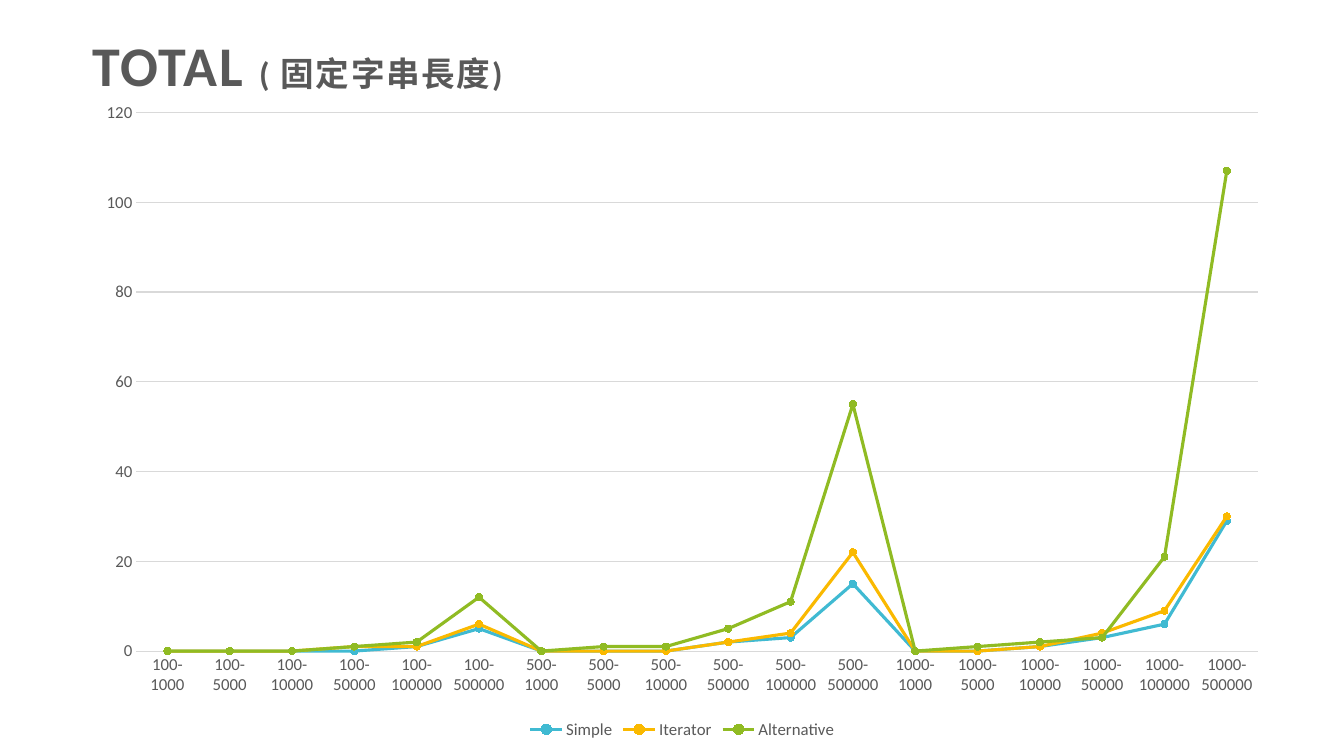
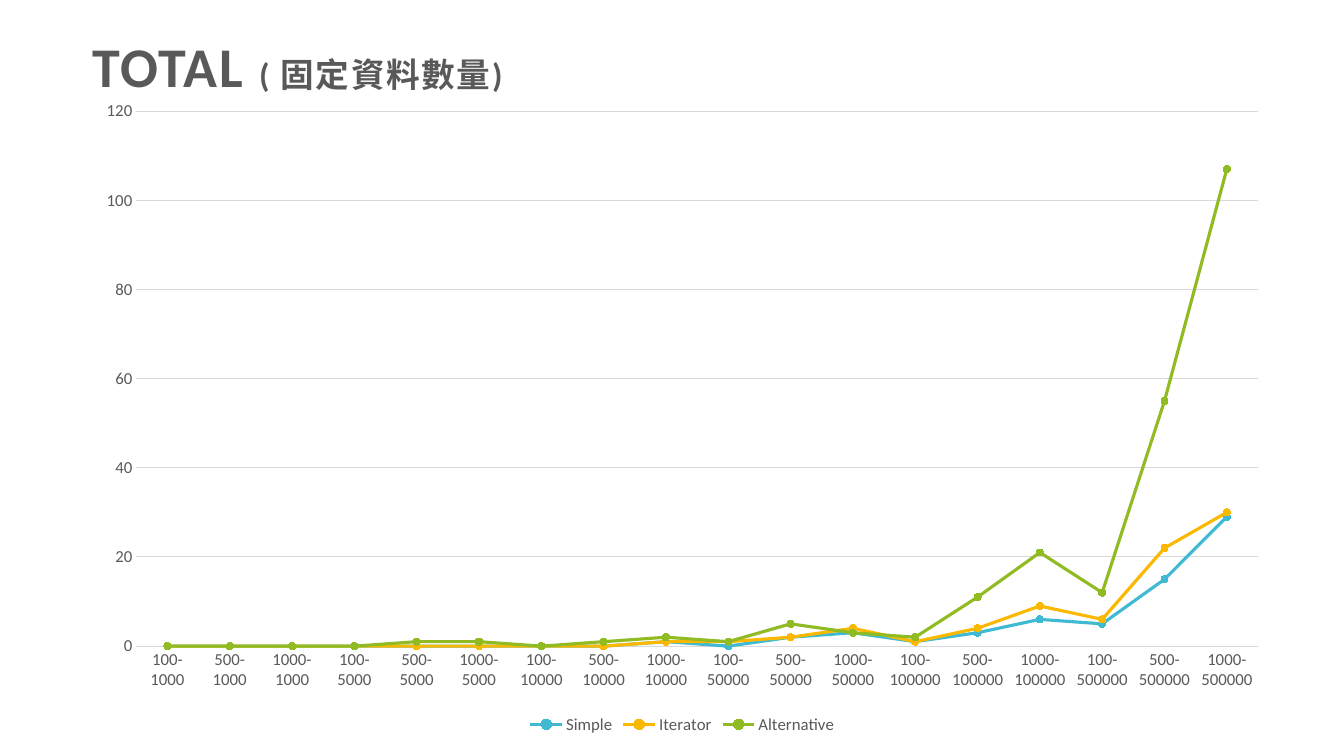
from itertools import product

from pptx import Presentation
from pptx.chart.data import CategoryChartData
from pptx.dml.color import RGBColor
from pptx.enum.chart import (XL_CHART_TYPE, XL_LEGEND_POSITION, XL_MARKER_STYLE,
                             XL_TICK_MARK)
from pptx.enum.text import MSO_ANCHOR, MSO_AUTO_SIZE, PP_ALIGN
from pptx.util import Inches, Pt

# Slide grid: 65 columns by 60 rows
WIDTH, HEIGHT = Inches(13.33), Inches(7.5)
COLUMN, ROW = WIDTH / 65, HEIGHT / 60
MARGIN = 4

# Shared style
FONT = "Calibri"
GREY, RULE = "595959", "D9D9D9"
SERIES_COLORS = {"Simple": "40BAD2", "Iterator": "FAB900", "Alternative": "90BB23"}

# Measurements, ordered by string length and then by amount of data
STRING_LENGTHS = (100, 500, 1000)
DATA_AMOUNTS = (1000, 5000, 10000, 50000, 100000, 500000)
TOTALS = {
    "Simple": (0, 0, 0, 0, 1, 5, 0, 0, 0, 2, 3, 15, 0, 0, 1, 3, 6, 29),
    "Iterator": (0, 0, 0, 1, 1, 6, 0, 0, 0, 2, 4, 22, 0, 0, 1, 4, 9, 30),
    "Alternative": (0, 0, 0, 1, 2, 12, 0, 1, 1, 5, 11, 55, 0, 1, 2, 3, 21, 107),
}
RUNS = list(product(STRING_LENGTHS, DATA_AMOUNTS))
BY_LENGTH = list(range(len(RUNS)))
BY_AMOUNT = sorted(BY_LENGTH, key=lambda i: (RUNS[i][1], RUNS[i][0]))


def color(value):
    return RGBColor.from_string(value)


def grid_box(left, top, width, height):
    return (round(left * COLUMN), round(top * ROW),
            round(width * COLUMN), round(height * ROW))


def style_font(font, size, shade=GREY):
    font.name = FONT
    font.size = Pt(size)
    font.color.rgb = color(shade)


def style_line(line, shade, width):
    line.color.rgb = color(shade)
    line.width = Pt(width)


def add_heading(slide, subtitle, top):
    title = slide.shapes.title
    title.left, title.top, title.width, title.height = grid_box(MARGIN, top, 22, 6.2)
    frame = title.text_frame
    frame.word_wrap = False
    frame.auto_size = MSO_AUTO_SIZE.NONE
    frame.vertical_anchor = MSO_ANCHOR.TOP
    paragraph = frame.paragraphs[0]
    paragraph.alignment = PP_ALIGN.LEFT
    style_font(paragraph.font, 40)
    paragraph.font.bold = True
    for text, size in (("TOTAL ", 40), (f"( {subtitle})", 24)):
        run = paragraph.add_run()
        run.text = text
        run.font.size = Pt(size)
        run.font._element.set("spc", "120")  # letter spacing


def style_axes(chart):
    for axis in (chart.category_axis, chart.value_axis):
        axis.major_tick_mark = axis.minor_tick_mark = XL_TICK_MARK.NONE
        style_font(axis.tick_labels.font, 12)
    style_line(chart.category_axis.format.line, RULE, 0.75)

    totals = chart.value_axis
    totals.minimum_scale, totals.maximum_scale, totals.major_unit = 0, 120, 20
    totals.format.line.fill.background()
    totals.has_major_gridlines = True
    style_line(totals.major_gridlines.format.line, RULE, 0.75)
    totals.tick_labels.number_format = "0"
    totals.tick_labels.number_format_is_linked = False


def style_series(series):
    shade = SERIES_COLORS[series.name]
    series.smooth = False
    style_line(series.format.line, shade, 2.25)
    marker = series.marker
    marker.style = XL_MARKER_STYLE.CIRCLE
    marker.size = 5
    marker.format.fill.solid()
    marker.format.fill.fore_color.rgb = color(shade)
    style_line(marker.format.line, shade, 0.75)


def add_totals_chart(slide, order, top, height):
    data = CategoryChartData()
    data.categories = [f"{RUNS[i][0]}-{RUNS[i][1]}" for i in order]
    for name, totals in TOTALS.items():
        data.add_series(name, [totals[i] for i in order])
    chart = slide.shapes.add_chart(XL_CHART_TYPE.LINE_MARKERS,
                                   *grid_box(MARGIN, top, 58, height), data).chart
    style_font(chart.font, 10, "000000")
    chart.has_title = False
    chart.plots[0].vary_by_categories = False
    style_axes(chart)
    for series in chart.plots[0].series:
        style_series(series)

    # Legend below the plot
    chart.has_legend = True
    chart.legend.position = XL_LEGEND_POSITION.BOTTOM
    chart.legend.include_in_layout = False
    style_font(chart.legend.font, 12)


def main():
    deck = Presentation()
    deck.slide_width, deck.slide_height = WIDTH, HEIGHT
    title_only = deck.slide_layouts[5]
    # Subtitle, title top, order of runs, chart top and height in rows
    pages = (
        ("固定字串長度", 2, BY_LENGTH, 7.1, 51.9),
        ("固定資料數量", 2.1, BY_AMOUNT, 7, 51.6),
    )
    for subtitle, title_top, order, chart_top, chart_height in pages:
        slide = deck.slides.add_slide(title_only)
        add_totals_chart(slide, order, chart_top, chart_height)
        add_heading(slide, subtitle, title_top)
    deck.save("out.pptx")


if __name__ == "__main__":
    main()
